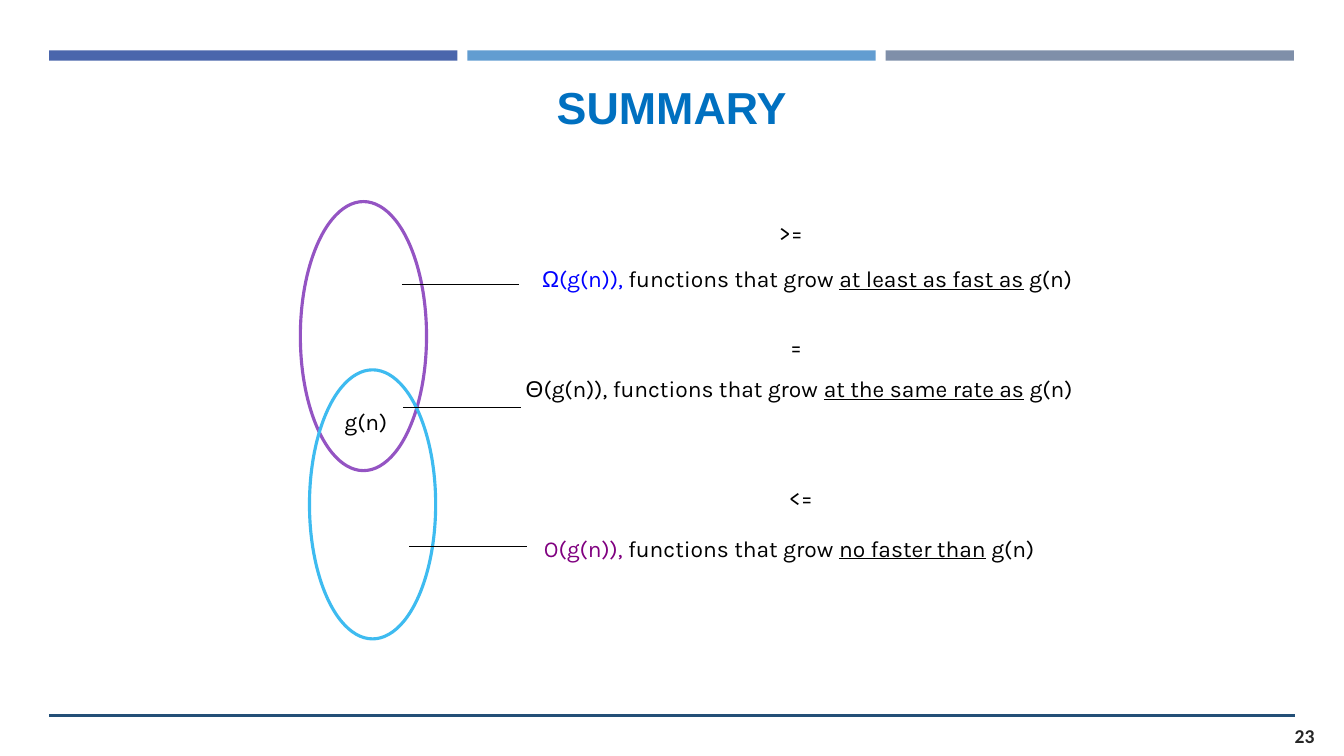
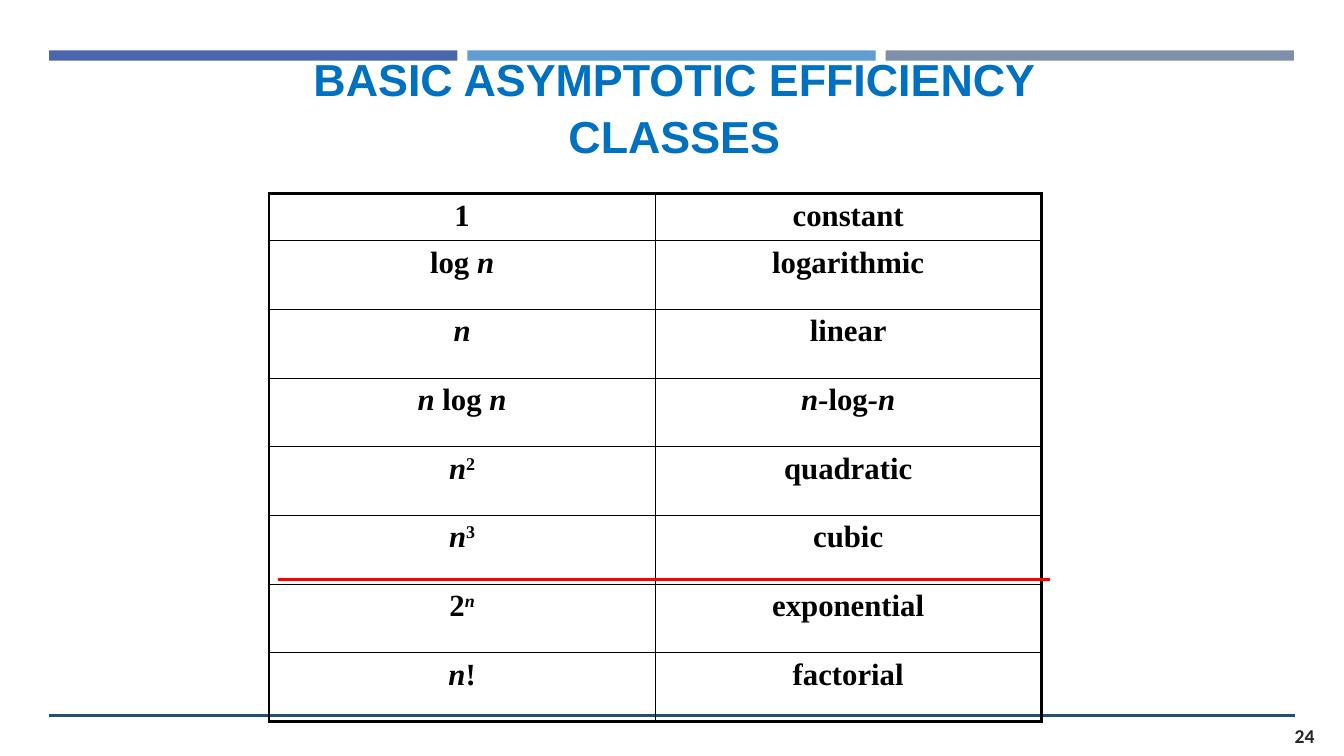
import dataclasses
import lxml.etree
import pptx
import pptx.dml.color
import pptx.enum.shapes
import pptx.enum.text
import pptx.oxml.ns
import pptx.util

Cm = pptx.util.Cm
Pt = pptx.util.Pt
qn = pptx.oxml.ns.qn
Align = pptx.enum.text.PP_ALIGN
Anchor = pptx.enum.text.MSO_ANCHOR
Kind = pptx.enum.shapes.MSO_SHAPE


@dataclasses.dataclass(frozen=True)
class Theme:
    bands: tuple = ("4A66AC", "629DD1", "7F8FA9")
    rule: str = "234F77"
    title: str = "0070C0"
    page: str = "262626"
    ink: str = "000000"
    omega: str = "0000FF"
    big_o: str = "800080"
    upper: str = "9454C3"
    lower: str = "3EBBF0"
    alert: str = "FF0000"
    head_font: str = "Arial"
    page_font: str = "Calibri"
    body_font: str = "Karla"
    cell_font: str = "Times New Roman"
    head_size: float = 32
    page_size: float = 14
    body_size: float = 16.3
    cell_size: float = 22
    bold_line: float = 2.25
    fine_line: float = 0.75
    frame: float = 2.21
    grid: float = 0.96


T = Theme()

# Content: a run is its text plus what differs from the base style
GREEK = {"font": T.head_font}
LINED = {"under": True}
ITAL = {"ital": True}
SUP = {"sup": True}

FIRST_PAGE = 23
SUMMARY = "SUMMARY "
CLASSES = "BASIC ASYMPTOTIC EFFICIENCY CLASSES"

# Ovals: left, top, colour
OVALS = [(7.57, 5.08, T.upper), (7.8, 9.32, T.lower)]

# Labels: left, top, width, runs
LABELS = [
    (13.41, 6.55, 13.97, [("Ω", {"font": T.head_font, "color": T.omega}),
                          ("(g(n)),", {"color": T.omega}),
                          (" functions that grow ", {}),
                          ("at least as fast as", LINED), (" g(n)", {})]),
    (13, 9.32, 14.45, [("Θ", GREEK), ("(g(n)), functions that grow ", {}),
                       ("at the same rate as", LINED), (" g(n)", {})]),
    (13.46, 13.34, 13.06, [("O(g(n)),", {"color": T.big_o}),
                           (" functions that grow ", {}),
                           ("no faster than", LINED), (" g(n)", {})]),
    (8.43, 10.16, 1.6, [("g(n)", {})]),
    (19.38, 5.38, 1.35, [(">=", {})]),
    (19.63, 12.07, 1.35, [("<=", {})]),
    (19.66, 8.26, 0.94, [("=", {})]),
]

# Leader lines: left, top
LEADERS = [(10.13, 7.16), (10.16, 10.26), (10.31, 13.77)]
LEAD = 2.96

ROWS = [
    ([("1", {})], [("constant", {})]),
    ([("log ", {}), ("n", ITAL)], [("logarithmic", {})]),
    ([("n", ITAL)], [("linear", {})]),
    ([("n ", ITAL), ("log ", {}), ("n", ITAL)],
     [("n-", ITAL), ("log", {}), ("-n", ITAL)]),
    ([("n", ITAL), ("2", SUP)], [("quadratic", {})]),
    ([("n", ITAL), ("3", SUP)], [("cubic", {})]),
    ([("2", {}), ("n", ITAL | SUP)], [("exponential", {})]),
    ([("n", ITAL), ("!", {})], [("factorial", {})]),
]


# Drawing helpers
def rgb(code):
    return pptx.dml.color.RGBColor.from_string(code)


def write(par, runs, **base):
    for text, own in runs:
        look = base | own
        run = par.add_run()
        run.text = text
        font = run.font
        font.name = look["font"]
        font.size = Pt(look["size"])
        font.color.rgb = rgb(look["color"])
        font.bold = look.get("bold", False)
        font.italic = look.get("ital", False)
        font.underline = look.get("under", False)
        if look.get("sup"):
            run._r.get_or_add_rPr().set("baseline", "30000")


def label(slide, left, top, wide, high, wrap=False):
    box = slide.shapes.add_textbox(Cm(left), Cm(top), Cm(wide), Cm(high))
    box.text_frame.word_wrap = wrap
    return box.text_frame


def line(slide, left, top, right, color, width):
    link = slide.shapes.add_connector(
        pptx.enum.shapes.MSO_CONNECTOR.STRAIGHT,
        Cm(left), Cm(top), Cm(right), Cm(top))
    link.line.color.rgb = rgb(color)
    link.line.width = Pt(width)
    lxml.etree.SubElement(link.element.spPr, qn("a:effectLst"))
    return link


def edge(cell, side, width):
    ln = lxml.etree.SubElement(cell._tc.get_or_add_tcPr(), qn("a:ln" + side),
                               w=str(int(Pt(width))))
    fill = lxml.etree.SubElement(ln, qn("a:solidFill"))
    lxml.etree.SubElement(fill, qn("a:srgbClr"), val=T.ink)


# Shared parts
def dress(slide, layout):
    """Draw the bands and the bottom rule, then move them to the layout."""
    wide, gap = 10.29, 0.25
    parts = []
    for i, color in enumerate(T.bands):
        band = slide.shapes.add_shape(
            Kind.RECTANGLE, Cm(1.24 + i * (wide + gap)), Cm(1.27),
            Cm(wide), Cm(0.26))
        band.shadow.inherit = False
        band.fill.solid()
        band.fill.fore_color.rgb = rgb(color)
        band.line.fill.background()
        parts.append(band)
    parts.append(line(slide, 1.24, 18.03, 32.64, T.rule, T.bold_line))
    for part in parts:
        layout.shapes.element.append(part.element)


def start(deck, layout, text, left):
    slide = deck.slides.add_slide(layout)
    head = slide.shapes.title
    head.left, head.top = Cm(left), Cm(1.07)
    head.width, head.height = Cm(21.39), Cm(3.18)
    frame = head.text_frame
    frame.margin_left = frame.margin_right = 0
    frame.margin_top = frame.margin_bottom = 0
    frame.vertical_anchor = Anchor.MIDDLE
    frame.word_wrap = True
    frame.auto_size = pptx.enum.text.MSO_AUTO_SIZE.NONE
    par = frame.paragraphs[0]
    par.alignment = Align.CENTER
    par.line_spacing = 1.05
    write(par, [(text, {})], font=T.head_font, size=T.head_size,
          color=T.title, bold=True)
    # Page number
    foot = label(slide, 31.88, 18.03, 1.5, 1.02, wrap=True)
    foot.vertical_anchor = Anchor.MIDDLE
    par = foot.paragraphs[0]
    par.alignment = Align.RIGHT
    page = FIRST_PAGE + len(deck.slides) - 1
    write(par, [(str(page), {})], font=T.page_font, size=T.page_size,
          color=T.page, bold=True)
    return slide


# Slides
def draw_sets(slide):
    for left, top, color in OVALS:
        oval = slide.shapes.add_shape(Kind.OVAL, Cm(left), Cm(top),
                                      Cm(3.18), Cm(6.78))
        oval.shadow.inherit = False
        oval.fill.background()
        oval.line.color.rgb = rgb(color)
        oval.line.width = Pt(T.bold_line)
    for left, top in LEADERS:
        line(slide, left, top, left + LEAD, T.ink, T.fine_line)
    for left, top, wide, runs in LABELS:
        frame = label(slide, left, top, wide, 0.97)
        frame.auto_size = pptx.enum.text.MSO_AUTO_SIZE.SHAPE_TO_FIT_TEXT
        write(frame.paragraphs[0], runs, font=T.body_font,
              size=T.body_size, color=T.ink)


def draw_table(slide):
    wide, first, high = 9.73, 1.19, 1.73
    last = len(ROWS) - 1
    table = slide.shapes.add_table(
        len(ROWS), 2, Cm(6.78), Cm(4.88), Cm(2 * wide),
        Cm(first + last * high)).table
    table.first_row = table.horz_banding = False
    for col in table.columns:
        col.width = Cm(wide)
    for r, row in enumerate(ROWS):
        table.rows[r].height = Cm(high if r else first)
        for c, runs in enumerate(row):
            cell = table.cell(r, c)
            outer = {"L": c == 0, "R": c == 1, "T": r == 0, "B": r == last}
            for side, out in outer.items():
                edge(cell, side, T.frame if out else T.grid)
            cell.fill.background()
            par = cell.text_frame.paragraphs[0]
            par.alignment = Align.CENTER
            par.space_before = Pt(4.8)
            write(par, runs, font=T.cell_font, size=T.cell_size,
                  color=T.ink, bold=True)
    # Border between polynomial and faster growth
    line(slide, 7, 14.61, 26.47, T.alert, T.bold_line)


def main():
    deck = pptx.Presentation()
    deck.slide_width, deck.slide_height = Cm(33.87), Cm(19.05)
    layout = deck.slide_layouts.get_by_name("Title Only")
    slide = start(deck, layout, SUMMARY, 6.38)
    dress(slide, layout)
    draw_sets(slide)
    draw_table(start(deck, layout, CLASSES, 6.3))
    deck.save("out.pptx")


if __name__ == "__main__":
    main()
